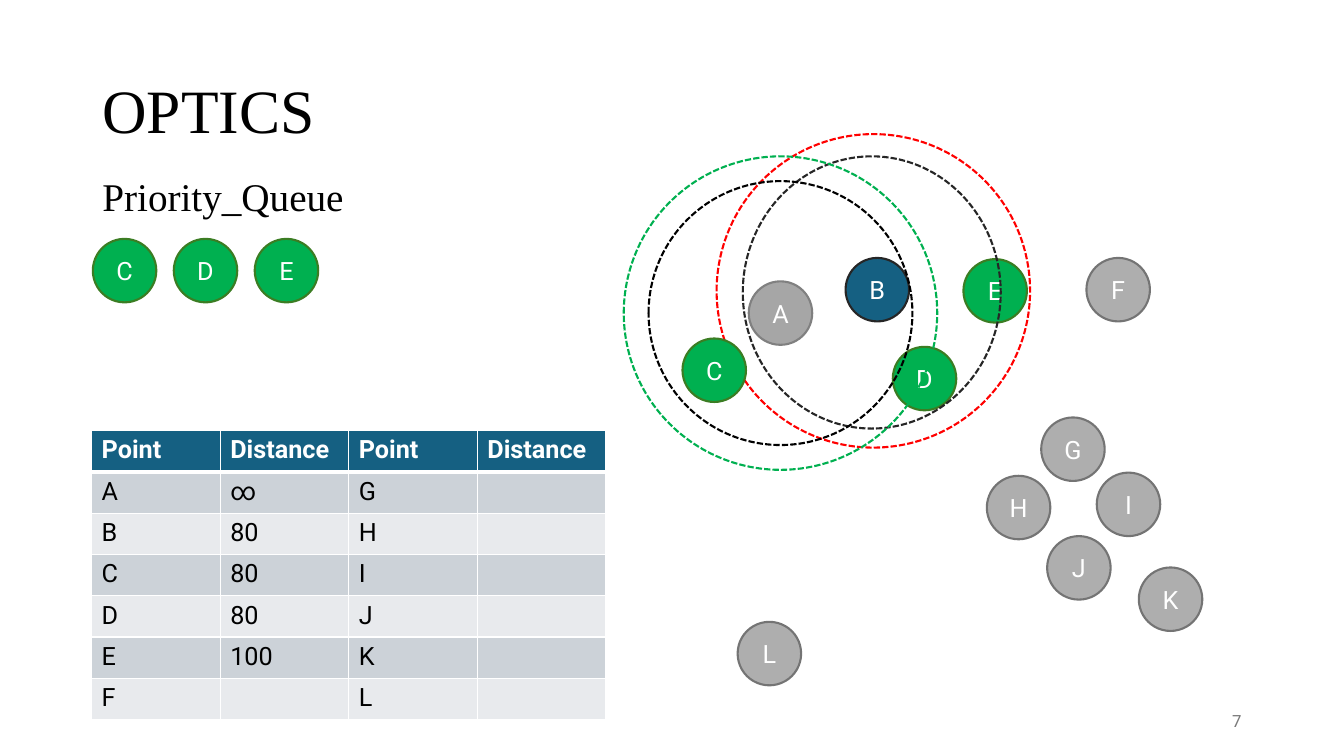
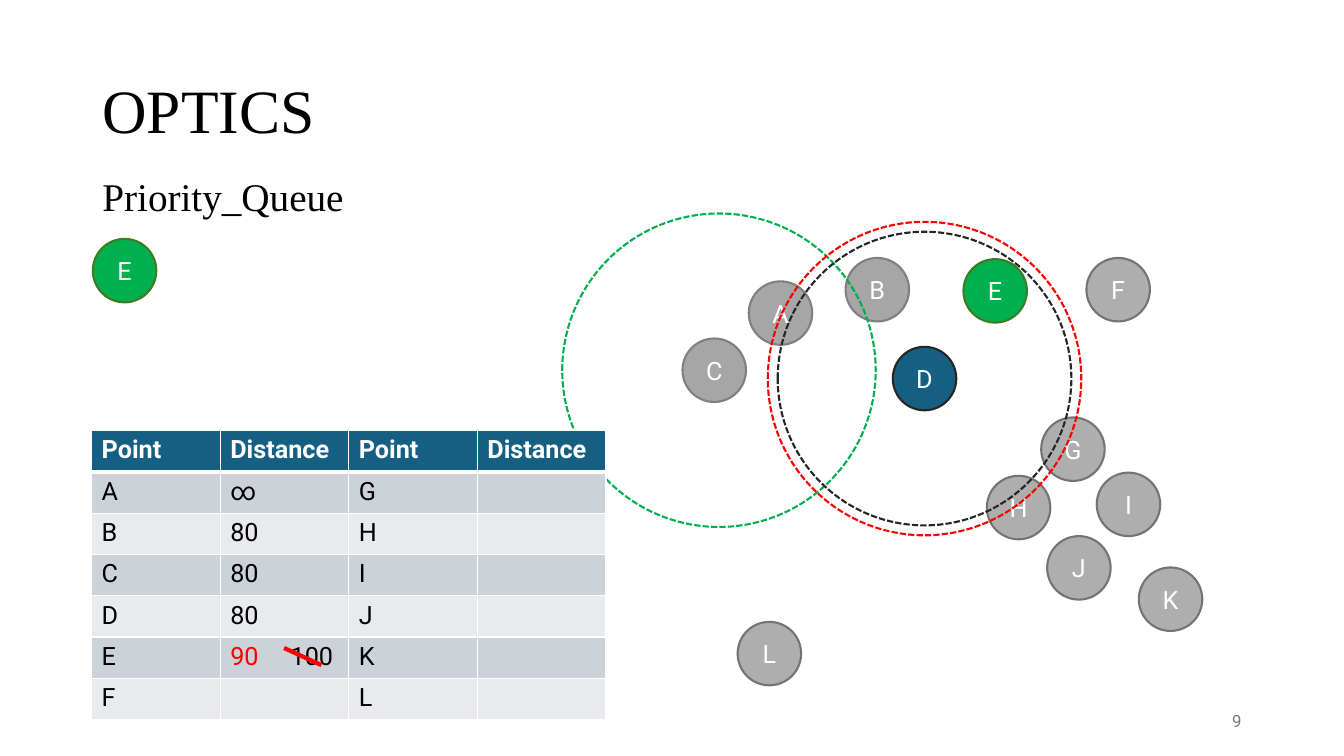
from lxml import etree
from pptx import Presentation
from pptx.dml.color import RGBColor
from pptx.enum import dml, shapes, text
from pptx.oxml import ns
from pptx.util import Cm, Pt

COLOURS = {
    "black": "000000", "white": "FFFFFF", "charcoal": "262626",
    "red": "FF0000", "green": "00B050", "dark green": "3B7D23",
    "blue": "156082", "grey": "A6A6A6", "mid grey": "808080",
    "light grey": "AEAEAE", "dark grey": "747474", "number": "797979",
    "odd row": "CCD2D8", "even row": "E8EAED",
}
SERIF, SANS = "Times New Roman", "Roboto"

# Fill and outline of a point in each state
STATES = {
    "unseen": ("light grey", "dark grey"),
    "visited": ("grey", "mid grey"),
    "queued": ("green", "dark green"),
    "current": ("blue", "charcoal"),
}

# Centres of the points, in cm
POINTS = {
    "A": (19.67, 7.89), "B": (22.11, 7.3), "C": (18, 9.33),
    "D": (23.3, 9.54), "E": (25.08, 7.33), "F": (28.18, 7.3),
    "G": (27.04, 11.32), "H": (25.67, 12.79), "I": (28.44, 12.71),
    "J": (27.19, 14.31), "K": (29.5, 15.1), "L": (19.39, 16.47),
}
POINT_SIZE = 1.6
EPSILON_SIZE = 7.9
QUEUE_START, QUEUE_STEP = (3.14, 6.82), 2.04
COLUMN_WIDTH, ROW_HEIGHT = 3.24, 1.04


def colour(name):
    return RGBColor.from_string(COLOURS[name])


def style(font, size, colour_name, face=SANS, bold=False):
    font.name, font.size, font.bold = face, Pt(size), bold
    font.color.rgb = colour(colour_name)


def add_text(page, left, top, width, height, words, size, face, colour_name,
             anchor=text.MSO_ANCHOR.MIDDLE, align=text.PP_ALIGN.LEFT):
    box = page.shapes.add_textbox(Cm(left), Cm(top), Cm(width), Cm(height))
    frame = box.text_frame
    frame.word_wrap = True
    frame.vertical_anchor = anchor
    frame.text = words
    paragraph = frame.paragraphs[0]
    paragraph.alignment = align
    style(paragraph.runs[0].font, size, colour_name, face)
    return paragraph


def add_ellipse(page, centre, width, height, line):
    x, y = centre
    ellipse = page.shapes.add_shape(
        shapes.MSO_SHAPE.OVAL, Cm(x - width / 2), Cm(y - height / 2),
        Cm(width), Cm(height))
    ellipse.shadow.inherit = False
    ellipse.line.color.rgb = colour(line)
    ellipse.line.width = Pt(1.5)
    return ellipse


def add_point(page, letter, state, centre=None):
    fill, line = STATES[state]
    point = add_ellipse(page, centre or POINTS[letter], POINT_SIZE, POINT_SIZE, line)
    point.fill.solid()
    point.fill.fore_color.rgb = colour(fill)
    frame = point.text_frame
    frame.text = letter
    frame.vertical_anchor = text.MSO_ANCHOR.MIDDLE
    paragraph = frame.paragraphs[0]
    paragraph.alignment = text.PP_ALIGN.CENTER
    style(paragraph.runs[0].font, 18, "white")


def add_points(page, letters, state):
    for letter in letters:
        add_point(page, letter, state)


def add_ring(page, centre, line, width=EPSILON_SIZE, height=None):
    ring = add_ellipse(page, centre, width, height or width, line)
    ring.fill.background()
    ring.line.dash_style = dml.MSO_LINE.SQUARE_DOT


def add_queue(page, letters):
    x, y = QUEUE_START
    for place, letter in enumerate(letters):
        add_point(page, letter, "queued", (x + place * QUEUE_STEP, y))


def set_borders(cell, bottom):
    properties = cell._tc.get_or_add_tcPr()
    for side, width in (("L", 1), ("R", 1), ("T", 1), ("B", bottom)):
        line = etree.SubElement(properties, ns.qn("a:ln" + side), w=str(Pt(width)))
        fill = etree.SubElement(line, ns.qn("a:solidFill"))
        etree.SubElement(fill, ns.qn("a:srgbClr"), val=COLOURS["white"])


def add_distances(page, distances):
    rows = [("Point", "Distance") * 2]
    rows += [(left, value, right, "")
             for left, value, right in zip("ABCDEF", distances, "GHIJKL")]
    table = page.shapes.add_table(
        len(rows), 4, Cm(2.31), Cm(10.85),
        Cm(4 * COLUMN_WIDTH), Cm(len(rows) * ROW_HEIGHT)).table
    for column in table.columns:
        column.width = Cm(COLUMN_WIDTH)
    for number, values in enumerate(rows):
        table.rows[number].height = Cm(ROW_HEIGHT)
        header = number == 0
        fill = "blue" if header else "odd row" if number % 2 else "even row"
        for column, value in enumerate(values):
            cell = table.cell(number, column)
            set_borders(cell, 3 if header else 1)
            cell.fill.solid()
            cell.fill.fore_color.rgb = colour(fill)
            cell.text_frame.text = value
            for span in cell.text_frame.paragraphs[0].runs:
                style(span.font, 18, "white" if header else "black", bold=header)
    return table


def update_distance(cell, new_value):
    """Put the new value in red before the old one."""
    paragraph = cell.text_frame.paragraphs[0]
    old_value = paragraph.text
    paragraph.clear()
    tabs = etree.SubElement(paragraph._p.get_or_add_pPr(), ns.qn("a:tabLst"))
    etree.SubElement(tabs, ns.qn("a:tab"), pos=str(Cm(1.52)), algn="l")
    for words, name in ((new_value + "\t", "red"), (old_value, "black")):
        span = paragraph.add_run()
        span.text = words
        style(span.font, 18, name)


def add_strike(page, start, end):
    strike = page.shapes.add_connector(
        shapes.MSO_CONNECTOR.STRAIGHT, *(Cm(length) for length in start + end))
    strike.line.color.rgb = colour("red")
    strike.line.width = Pt(3)
    etree.SubElement(strike._element.spPr, ns.qn("a:effectLst"))


def add_page(deck, number):
    page = deck.slides.add_slide(deck.slide_layouts[6])
    title = add_text(page, 2.33, 1.01, 29.21, 3.68, "OPTICS", 44, SERIF, "black")
    title.line_spacing = 0.9
    add_text(page, 23.92, 17.65, 7.62, 1.02, number, 12, SANS, "number",
             align=text.PP_ALIGN.RIGHT)
    add_text(page, 2.33, 4.22, 7.75, 1.45, "Priority_Queue", 28, SERIF, "black",
             anchor=text.MSO_ANCHOR.TOP)
    add_points(page, "FHIJKGL", "unseen")
    return page


def add_step_b(deck):
    page = add_page(deck, "7")
    add_points(page, "DE", "queued")
    add_queue(page, "CDE")
    # Neighbourhood of B, below the points A to C
    add_ring(page, (22.01, 7.33), "red")
    add_ring(page, (21.97, 7.37), "charcoal", 6.5, 6.86)
    add_distances(page, ["∞", "80", "80", "80", "100", ""])
    add_point(page, "A", "visited")
    add_point(page, "C", "queued")
    add_point(page, "B", "current")
    # Neighbourhood of A, on top
    add_ring(page, POINTS["A"], "black", 6.65)
    add_ring(page, POINTS["A"], "green")


def add_step_d(deck):
    page = add_page(deck, "9")
    add_point(page, "D", "current")
    add_point(page, "E", "queued")
    add_queue(page, "E")
    add_points(page, "ACB", "visited")
    # Neighbourhood of C, partly behind the table
    add_ring(page, (18.12, 9.33), "green")
    table = add_distances(page, ["∞", "80", "80", "80", "100", ""])
    # Neighbourhood of D
    add_ring(page, POINTS["D"], "red")
    add_ring(page, POINTS["D"], "charcoal", 7.4)
    # Shorter distance found for E
    update_distance(table.cell(5, 1), "90")
    add_strike(page, (7.16, 16.33), (8.1, 16.76))


def main():
    deck = Presentation()
    deck.slide_width, deck.slide_height = Cm(33.87), Cm(19.05)
    add_step_b(deck)
    add_step_d(deck)
    deck.save("out.pptx")


if __name__ == "__main__":
    main()
